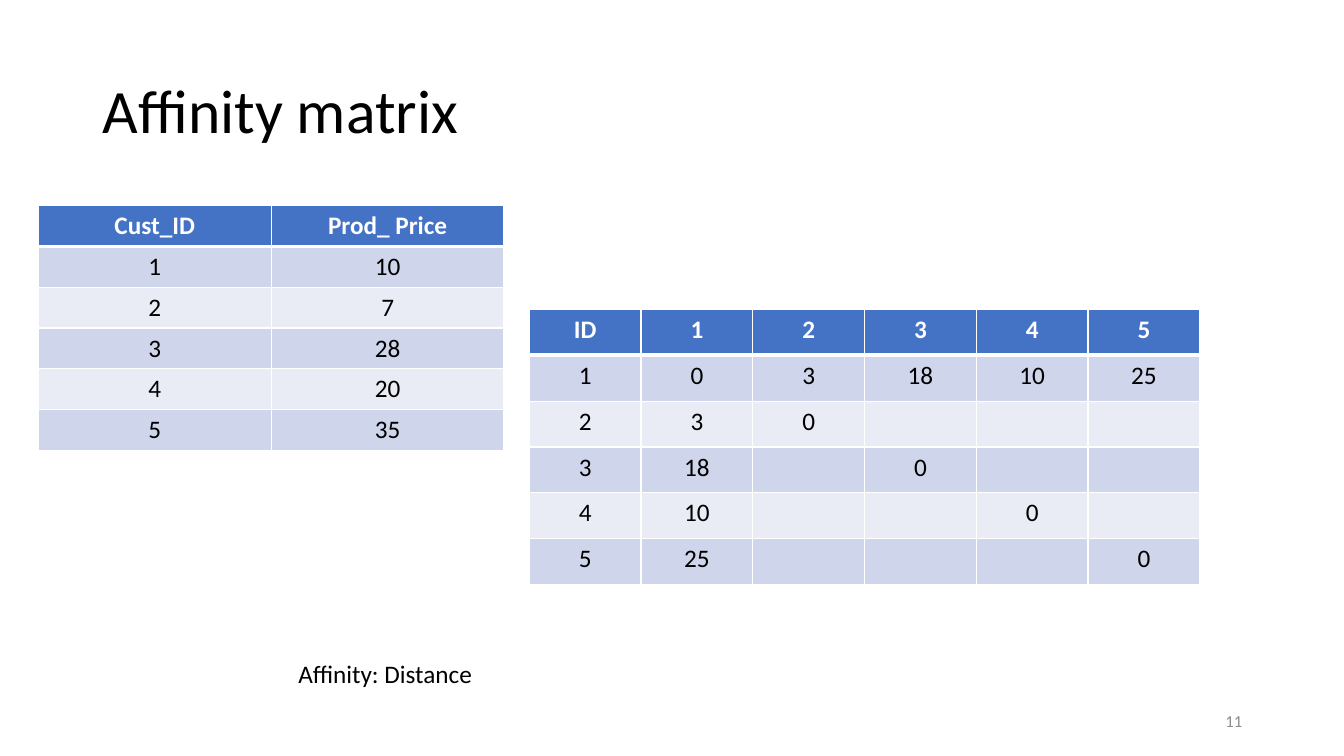
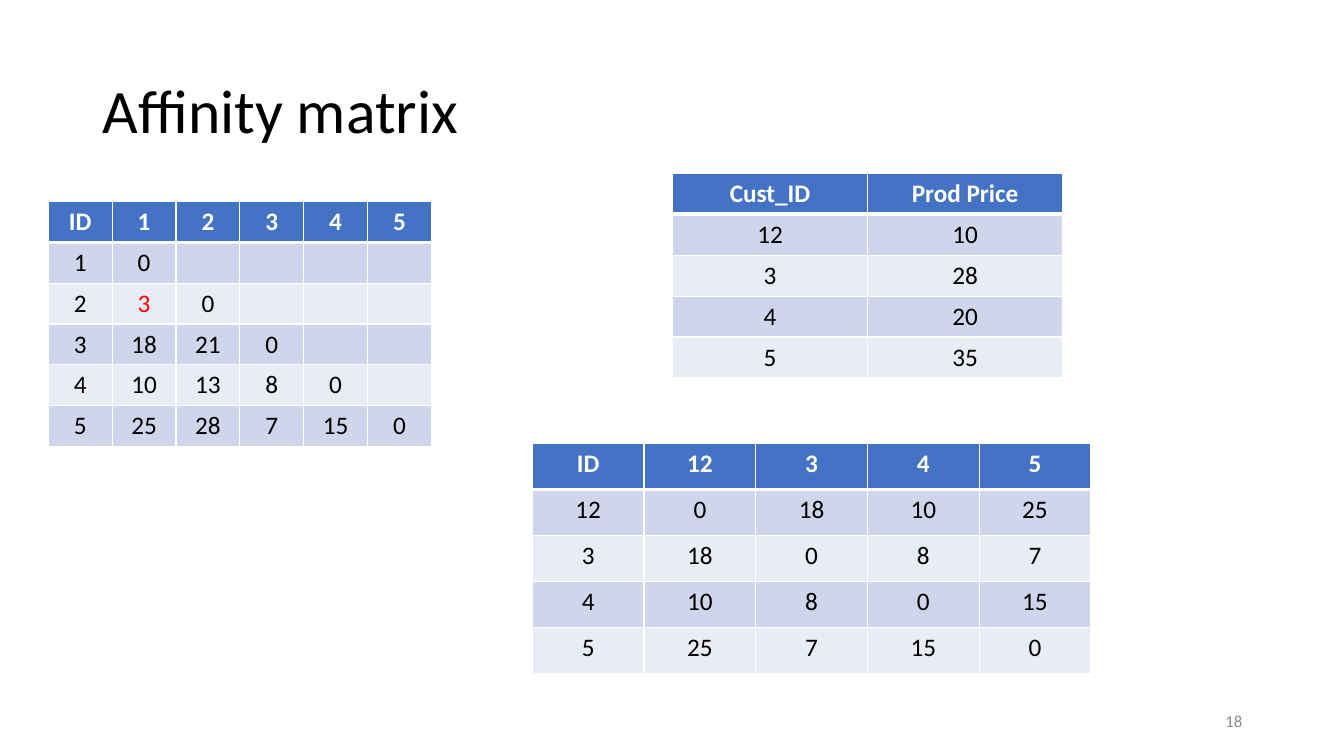
import pptx
import pptx.util
import pptx.dml.color
import pptx.enum.text
import pptx.oxml
import pptx.oxml.ns

ALIGN = pptx.enum.text.PP_ALIGN
ANCHOR = pptx.enum.text.MSO_ANCHOR
Inches, Pt = pptx.util.Inches, pptx.util.Pt

# Content: each table has its frame (left, top, width, height) and rows
SLIDES = [
    {
        "title": "Affinity matrix",
        "number": "11",
        "caption": "Affinity: Distance",
        "tables": [
            {"at": (5.25, 3.07, 6.65, 2.73), "rows": [
                ["ID", 1, 2, 3, 4, 5],
                [1, 0, 3, 18, 10, 25],
                [2, 3, 0, "", "", ""],
                [3, 18, "", 0, "", ""],
                [4, 10, "", "", 0, ""],
                [5, 25, "", "", "", 0],
            ]},
            {"at": (0.38, 2.04, 4.62, 2.43), "rows": [
                ["Cust_ID", "Prod_ Price"],
                [1, 10], [2, 7], [3, 28], [4, 20], [5, 35],
            ]},
        ],
    },
    {
        "title": "Affinity matrix",
        "number": "18",
        "tables": [
            {"at": (0.48, 2, 3.8, 2.43), "marked": (2, 1), "rows": [
                ["ID", 1, 2, 3, 4, 5],
                [1, 0, "", "", "", ""],
                [2, 3, 0, "", "", ""],
                [3, 18, 21, 0, "", ""],
                [4, 10, 13, 8, 0, ""],
                [5, 25, 28, 7, 15, 0],
            ]},
            {"at": (5.28, 4.4, 5.54, 2.28), "rows": [
                ["ID", 12, 3, 4, 5],
                [12, 0, 18, 10, 25],
                [3, 18, 0, 8, 7],
                [4, 10, 8, 0, 15],
                [5, 25, 7, 15, 0],
            ]},
            {"at": (6.67, 1.72, 3.87, 2.03), "rows": [
                ["Cust_ID", "Prod Price"],
                [12, 10], [3, 28], [4, 20], [5, 35],
            ]},
        ],
    },
]

# Theme: colours, type and the frames the slides share
THEME = {
    "size": (13.33, 7.5),
    "font": "Calibri",
    "header": "4472C4",
    "bands": ("CFD5EA", "E9EBF5"),
    "rule": "FFFFFF",
    "thin": 1,
    "thick": 3,
    "text": {
        "title": {"size": 44, "color": "000000"},
        "body": {"size": 18, "color": "000000"},
        "head": {"size": 18, "color": "FFFFFF", "bold": True},
        "marked": {"size": 18, "color": "FF0000"},
        "number": {"size": 12, "color": "8C8C8C"},
    },
}
FRAMES = {
    "title": {"at": (0.92, 0.4, 11.5, 1.45), "anchor": ANCHOR.MIDDLE,
              "para": {"line_spacing": 0.9}},
    "number": {"at": (9.42, 6.95, 3, 0.4), "anchor": ANCHOR.MIDDLE,
               "para": {"alignment": ALIGN.RIGHT}},
    "caption": {"at": (2.86, 6.48, 2.59, 0.4), "anchor": ANCHOR.TOP,
                "para": {}, "style": "body"},
}


def rgb(color):
    return pptx.dml.color.RGBColor.from_string(color)


def write(tf, text, style, para):
    p = tf.paragraphs[0]
    for key, value in para.items():
        setattr(p, key, value)
    r = p.add_run()
    r.text = str(text)
    look = THEME["text"][style]
    fmt = {"name": THEME["font"], "size": Pt(look["size"]), "bold": look.get("bold", False)}
    for key, value in fmt.items():
        setattr(r.font, key, value)
    r.font.color.rgb = rgb(look["color"])


def add_frame(s, kind, text):
    frame = FRAMES[kind]
    tf = s.shapes.add_textbox(*map(Inches, frame["at"])).text_frame
    tf.word_wrap = True
    tf.vertical_anchor = frame["anchor"]
    write(tf, text, frame.get("style", kind), frame["para"])


def set_borders(cell, row):
    # The rule between header and body is thick on both sides
    widths = {"L": THEME["thin"], "R": THEME["thin"],
              "T": THEME["thick"] if row == 1 else THEME["thin"],
              "B": THEME["thick"] if row == 0 else THEME["thin"]}
    tcPr = cell._tc.get_or_add_tcPr()
    for side, width in widths.items():
        tcPr.append(pptx.oxml.parse_xml(
            f'<a:ln{side} {pptx.oxml.ns.nsdecls("a")} w="{Pt(width)}">'
            f'<a:solidFill><a:srgbClr val="{THEME["rule"]}"/></a:solidFill></a:ln{side}>'))


def add_grid(s, spec):
    # add_table shares the frame equally among columns and rows
    rows = spec["rows"]
    table = s.shapes.add_table(len(rows), len(rows[0]), *map(Inches, spec["at"])).table
    for i, values in enumerate(rows):
        fill = THEME["bands"][(i - 1) % 2] if i else THEME["header"]
        for j, value in enumerate(values):
            cell = table.cell(i, j)
            set_borders(cell, i)
            cell.fill.solid()
            cell.fill.fore_color.rgb = rgb(fill)
            style = "head" if i == 0 else "marked" if (i, j) == spec.get("marked") else "body"
            if value != "":
                write(cell.text_frame, value, style, {"alignment": ALIGN.CENTER})


def main():
    prs = pptx.Presentation()
    prs.slide_width, prs.slide_height = map(Inches, THEME["size"])
    for content in SLIDES:
        s = prs.slides.add_slide(prs.slide_layouts[6])
        for kind in FRAMES:
            if kind in content:
                add_frame(s, kind, content[kind])
        for grid in content["tables"]:
            add_grid(s, grid)
    prs.save("out.pptx")


if __name__ == "__main__":
    main()
